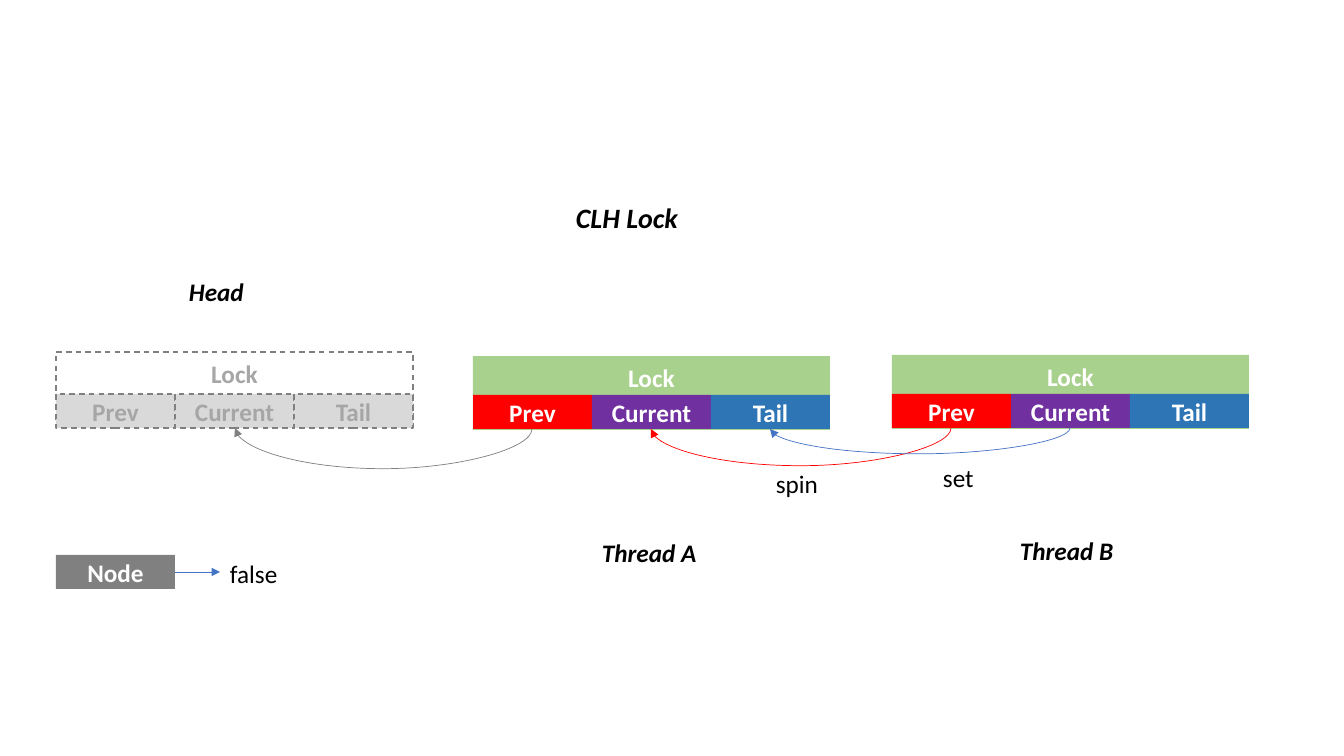
from dataclasses import dataclass

import pptx
import pptx.dml.color
import pptx.enum.dml
import pptx.enum.shapes
import pptx.enum.text
import pptx.oxml
import pptx.oxml.ns
import pptx.util

PIXEL = 914400 / 100.8
CELL_WIDTH, CELL_HEIGHT, LOCK_HEIGHT = 119, 34, 74
BLACK, WHITE, GRAY, RED, BLUE = "000000", "FFFFFF", "808080", "FF0000", "4472C4"
ALIGN = pptx.enum.text.PP_ALIGN
ANCHOR = pptx.enum.text.MSO_ANCHOR
CONNECTOR = pptx.enum.shapes.MSO_CONNECTOR


@dataclass
class LockNode:
    left: int
    top: int
    cell_top: int
    lock_fill: str | None
    cell_fills: tuple[str, str, str]
    text_color: str = WHITE
    border: str | None = None


@dataclass
class Label:
    text: str
    left: int
    top: int
    width: int
    size: int = 18
    strong: bool = True


@dataclass
class Link:
    start: tuple[int, int]
    end: tuple[int, int]
    depth: int
    color: str


THREAD_FILLS = (RED, "7030A0", "2E75B6")
NODES = [
    LockNode(56, 352, 394, None, ("D9D9D9",) * 3, "A6A6A6", GRAY),
    LockNode(473, 356, 395, "A9D18E", THREAD_FILLS),
    LockNode(892, 355, 394, "A9D18E", THREAD_FILLS),
]
LABELS = [
    Label("CLH Lock", 566, 196, 123, size=20),
    Label("Head", 179, 271, 76),
    Label("Thread A", 592, 532, 115),
    Label("Thread B", 1010, 530, 115),
    Label("spin", 766, 463, 62, strong=False),
    Label("set", 933, 457, 51, strong=False),
    Label("false", 220, 553, 69, strong=False),
]
LINKS = [
    Link((951, 428), (651, 429), 38, RED),
    Link((532, 429), (235, 428), 40, GRAY),
    Link((1070, 428), (770, 429), 26, BLUE),
]


def px(value: float) -> int:
    return round(value * PIXEL)


def rgb(color: str) -> pptx.dml.color.RGBColor:
    return pptx.dml.color.RGBColor.from_string(color)


def write_text(frame, text: str, *, color=BLACK, size=18, bold=False,
               italic=False, align=ALIGN.LEFT, anchor=ANCHOR.TOP, wrap=True) -> None:
    frame.word_wrap = wrap
    frame.vertical_anchor = anchor
    para = frame.paragraphs[0]
    para.alignment = align
    span = para.add_run()
    span.text = text
    span.font.name = "Calibri"
    span.font.size = pptx.util.Pt(size)
    span.font.bold = bold
    span.font.italic = italic
    span.font.color.rgb = rgb(color)


def draw_box(shapes, text: str, left: int, top: int, width: int, height: int,
             fill: str | None, color=WHITE, border=None, anchor=ANCHOR.MIDDLE):
    box = shapes.add_shape(pptx.enum.shapes.MSO_SHAPE.RECTANGLE,
                           px(left), px(top), px(width), px(height))
    box.shadow.inherit = False
    if fill:
        box.fill.solid()
        box.fill.fore_color.rgb = rgb(fill)
    else:
        box.fill.background()
    if border:
        box.line.color.rgb = rgb(border)
        box.line.width = pptx.util.Pt(1)
        box.line.dash_style = pptx.enum.dml.MSO_LINE.DASH
    else:
        box.line.fill.background()
    write_text(box.text_frame, text, color=color, bold=True,
               align=ALIGN.CENTER, anchor=anchor)
    return box


def draw_node(page, node: LockNode) -> None:
    shapes = page.shapes.add_group_shape().shapes
    lock = draw_box(shapes, "Lock", node.left, node.top, 3 * CELL_WIDTH, LOCK_HEIGHT,
                    node.lock_fill, node.text_color, node.border, ANCHOR.TOP)
    lock.text_frame.margin_top = px(6)
    for column, (text, fill) in enumerate(zip(("Prev", "Current", "Tail"), node.cell_fills)):
        draw_box(shapes, text, node.left + column * CELL_WIDTH, node.cell_top,
                 CELL_WIDTH, CELL_HEIGHT, fill, node.text_color, node.border)


def draw_label(page, label: Label) -> None:
    box = page.shapes.add_textbox(px(label.left), px(label.top), px(label.width), px(40))
    write_text(box.text_frame, label.text, size=label.size, bold=label.strong,
               italic=label.strong, wrap=False)


def draw_arrow(page, kind, start: tuple[float, float], end: tuple[float, float], color: str):
    arrow = page.shapes.add_connector(kind, *map(px, start + end))
    arrow.line.color.rgb = rgb(color)
    arrow.line.width = pptx.util.Pt(0.5)
    properties = arrow._element.spPr
    head = pptx.oxml.ns.qn("a:tailEnd")
    properties.find(pptx.oxml.ns.qn("a:ln")).append(
        properties.makeelement(head, {"type": "triangle"}))
    properties.append(properties.makeelement(pptx.oxml.ns.qn("a:effectLst"), {}))
    return arrow


def draw_link(page, link: Link) -> None:
    (start_x, start_y), (end_x, end_y) = link.start, link.end
    middle_x, middle_y = (start_x + end_x) / 2, (start_y + end_y) / 2
    half_span, drop = (start_x - end_x) / 2, end_y - start_y
    arrow = draw_arrow(page, CONNECTOR.CURVE,
                       (middle_x - drop / 2, middle_y - half_span),
                       (middle_x + drop / 2, middle_y + half_span), link.color)
    properties = arrow._element.spPr
    properties.find(pptx.oxml.ns.qn("a:xfrm")).set("rot", str(90 * 60000))
    geometry = properties.find(pptx.oxml.ns.qn("a:prstGeom"))
    guides = geometry.find(pptx.oxml.ns.qn("a:avLst"))
    bend = round(100000 * link.depth / drop)
    guides.append(guides.makeelement(pptx.oxml.ns.qn("a:gd"),
                                     {"name": "adj1", "fmla": f"val {bend}"}))


def main() -> None:
    deck = pptx.Presentation()
    deck.slide_width, deck.slide_height = px(1344), px(756)
    page = deck.slides.add_slide(deck.slide_layouts[6])
    for node in NODES:
        draw_node(page, node)
    draw_box(page.shapes, "Node", 56, 555, CELL_WIDTH, CELL_HEIGHT, GRAY)
    for link in LINKS:
        draw_link(page, link)
    draw_arrow(page, CONNECTOR.STRAIGHT, (175, 572), (220, 572), BLUE)
    for label in LABELS:
        draw_label(page, label)
    deck.save("out.pptx")


main()
